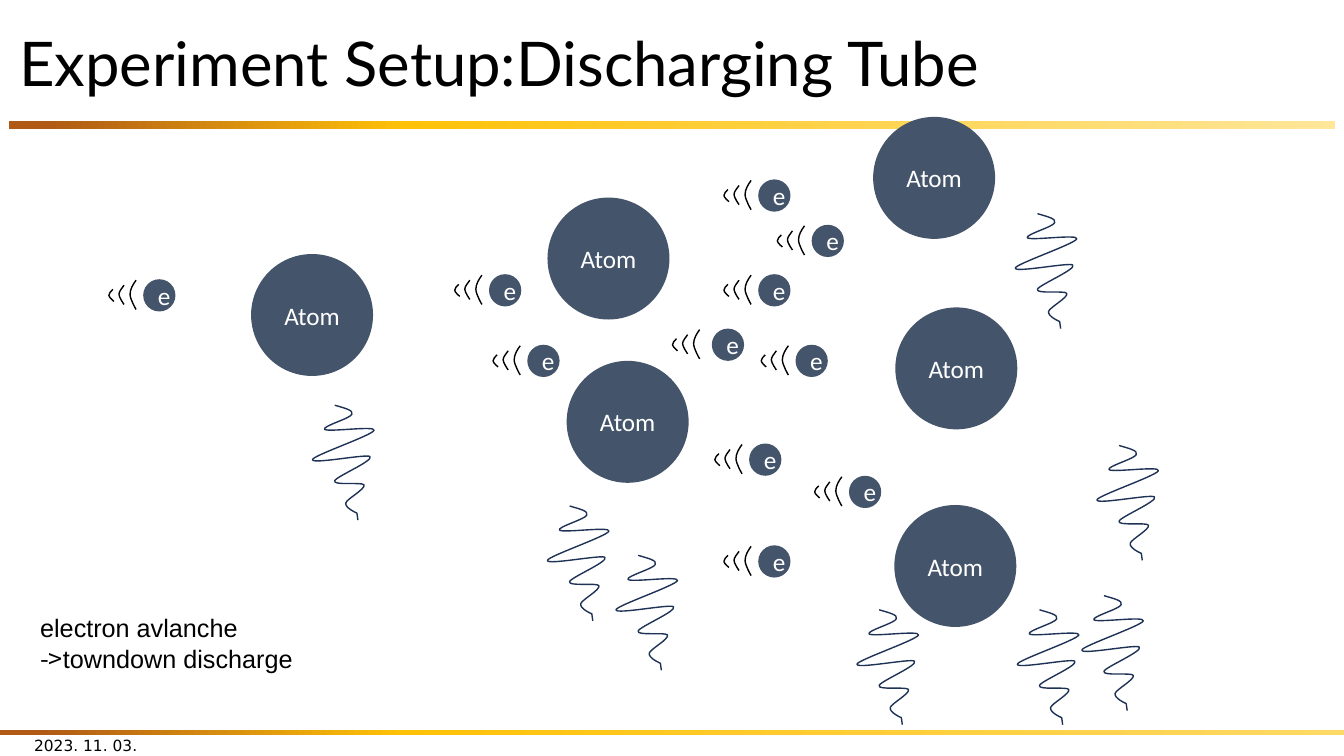
from lxml.etree import SubElement
from pptx import Presentation
from pptx.dml.color import RGBColor
from pptx.enum.shapes import MSO_SHAPE as Preset
from pptx.enum.text import MSO_ANCHOR as Anchor, PP_ALIGN as Align
from pptx.oxml.ns import qn
from pptx.util import Inches, Pt

BLACK = RGBColor(0x00, 0x00, 0x00)
WHITE = RGBColor(0xFF, 0xFF, 0xFF)
SLATE = RGBColor(0x44, 0x54, 0x6A)
NAVY = RGBColor(0x1E, 0x32, 0x56)
RUST = RGBColor(0xB0, 0x5A, 0x16)
AMBER = RGBColor(0xFF, 0xC2, 0x08)
CREAM = RGBColor(0xFF, 0xE6, 0x99)
GOLD = RGBColor(0xFF, 0xD9, 0x66)

GRID = 100
CELL = Inches(1 / GRID)
ATOM_SIZE = 1.21
ELECTRON_SIZE = 0.32
RIPPLE_GAP = 0.13

ATOMS = [(2.49, 2.52), (5.43, 1.96), (5.62, 3.58),
         (8.66, 1.16), (8.88, 3.05), (8.87, 5.01)]
ELECTRONS = [(1.42, 2.77), (4.85, 2.72), (5.23, 3.42), (7.52, 2.72),
             (7.89, 3.42), (7.52, 1.78), (8.05, 2.23), (7.43, 4.40),
             (8.42, 4.72), (7.52, 5.41)]
LAGGING_ELECTRON = (7.06, 3.26, 0.18)
PHOTONS = [(3.10, 4.02), (5.43, 5.02), (6.11, 5.51), (8.50, 6.05),
           (10.09, 6.05), (10.73, 5.91), (10.88, 4.42), (10.07, 2.12)]

RIPPLES = [
    ((6, 1), [(3, 5, 0, 10, 0, 15), (0, 20, 6, 30, 6, 30)]),
    ((-6, 6), [(-8, 9, -11, 12, -11, 15), (-11, 18, -6, 25, -6, 25)]),
    ((-17, 10), [(-19, 12, -21, 14, -21, 16), (-21, 18, -16, 22, -16, 22)]),
]
WAVE_START = (22, 0)
WAVE = [(32, 3, 41, 5, 39, 9), (38, 13, 9, 21, 12, 24),
        (16, 27, 63, 20, 61, 25), (59, 30, 0, 50, 0, 54),
        (-1, 59, 54, 48, 57, 51), (61, 55, 23, 71, 22, 75),
        (20, 80, 49, 76, 51, 79), (53, 83, 34, 93, 33, 97),
        (32, 102, 44, 107, 44, 107), (44, 107, 45, 114, 45, 114)]


def add_text(paragraph, text, font="Calibri", size=18, color=BLACK, align=None):
    paragraph.alignment = align
    run = paragraph.add_run()
    run.text = text
    run.font.name = font
    run.font.size = Pt(size)
    run.font.color.rgb = color


def add_box(slide, left, top, width, height, anchor=Anchor.MIDDLE):
    shape = slide.shapes.add_textbox(
        Inches(left), Inches(top), Inches(width), Inches(height))
    shape.text_frame.word_wrap = True
    shape.text_frame.vertical_anchor = anchor
    return shape.text_frame


def add_plain_shape(slide, preset, left, top, width, height):
    shape = slide.shapes.add_shape(
        preset, Inches(left), Inches(top), Inches(width), Inches(height))
    shape.shadow.inherit = False
    shape.line.fill.background()
    return shape


def add_band(slide, left, top, width, height, end_color):
    shape = add_plain_shape(slide, Preset.RECTANGLE, left, top, width, height)
    shape.fill.gradient()
    shape.fill.gradient_angle = 0
    stops = next(shape._element.iter(qn("a:gsLst")))
    for stop in list(stops):
        stops.remove(stop)
    for percent, color in ((3, RUST), (30, AMBER), (100, end_color)):
        stop = SubElement(stops, qn("a:gs"), pos=str(percent * 1000))
        SubElement(stop, qn("a:srgbClr"), val=str(color))


def add_ball(slide, left, top, size, label):
    shape = add_plain_shape(slide, Preset.OVAL, left, top, size, size)
    shape.fill.solid()
    shape.fill.fore_color.rgb = SLATE
    add_text(shape.text_frame.paragraphs[0], label, color=WHITE, align=Align.CENTER)


def add_curve(shapes, left, top, start, curves, color):
    builder = shapes.build_freeform(*start, scale=CELL)
    ends = [curve[4:] for curve in curves]
    builder.add_line_segments(ends, close=False)
    shape = builder.convert_to_shape(Inches(left), Inches(top))
    min_x = min(x for x, y in [start, *ends])
    min_y = min(y for x, y in [start, *ends])
    segments = list(shape._element.iter(qn("a:lnTo")))
    for segment, curve in zip(segments, curves):
        bezier = segment.makeelement(qn("a:cubicBezTo"))
        for x, y in zip(curve[::2], curve[1::2]):
            SubElement(bezier, qn("a:pt"), x=str(x - min_x), y=str(y - min_y))
        segment.getparent().replace(segment, bezier)
    shape.shadow.inherit = False
    shape.fill.background()
    shape.line.color.rgb = color
    shape.line.width = Pt(1)


def add_electron(slide, left, top, gap=RIPPLE_GAP):
    add_ball(slide, left, top, ELECTRON_SIZE, "e")
    group = slide.shapes.add_group_shape()
    for start, curves in RIPPLES:
        add_curve(group.shapes, left - gap, top, start, curves, BLACK)


def add_header(slide, left, top, width, height):
    add_band(slide, left, top + 1.03, width, 0.08, CREAM)
    frame = add_box(slide, left, top, width, height)
    frame.paragraphs[0].line_spacing = 0.9
    add_text(frame.paragraphs[0], "Experiment Setup:Discharging Tube",
             font="Lato", size=44)


def add_footer(slide, left, top, width):
    add_band(slide, left, top, width, 0.05, GOLD)
    frame = add_box(slide, left + 0.24, top - 0.05, 3, 0.4)
    add_text(frame.paragraphs[0], "2023. 11. 03.", font="DejaVu Sans", size=11)


def add_avalanche(slide):
    for left, top in ATOMS:
        add_ball(slide, left, top, ATOM_SIZE, "Atom")
    for electron in [*ELECTRONS, LAGGING_ELECTRON]:
        add_electron(slide, *electron)
    for left, top in PHOTONS:
        add_curve(slide.shapes, left, top, WAVE_START, WAVE, NAVY)


def add_caption(slide, left, top, width, height):
    frame = add_box(slide, left, top, width, height, anchor=Anchor.TOP)
    add_text(frame.paragraphs[0], "electron avlanche", font="Arial")
    paragraph = frame.add_paragraph()
    add_text(paragraph, "->", font="Noto Sans CJK KR")
    add_text(paragraph, "towndown discharge", font="Arial")


def main():
    presentation = Presentation()
    presentation.slide_width = Inches(13.33)
    presentation.slide_height = Inches(7.5)
    slide = presentation.slides.add_slide(presentation.slide_layouts[6])
    add_header(slide, 0.09, 0.17, 13.15, 0.98)
    add_footer(slide, 0, 7.24, 13.33)
    add_avalanche(slide)
    add_caption(slide, 0.3, 6.03, 6.76, 0.71)
    presentation.save("out.pptx")


if __name__ == "__main__":
    main()
